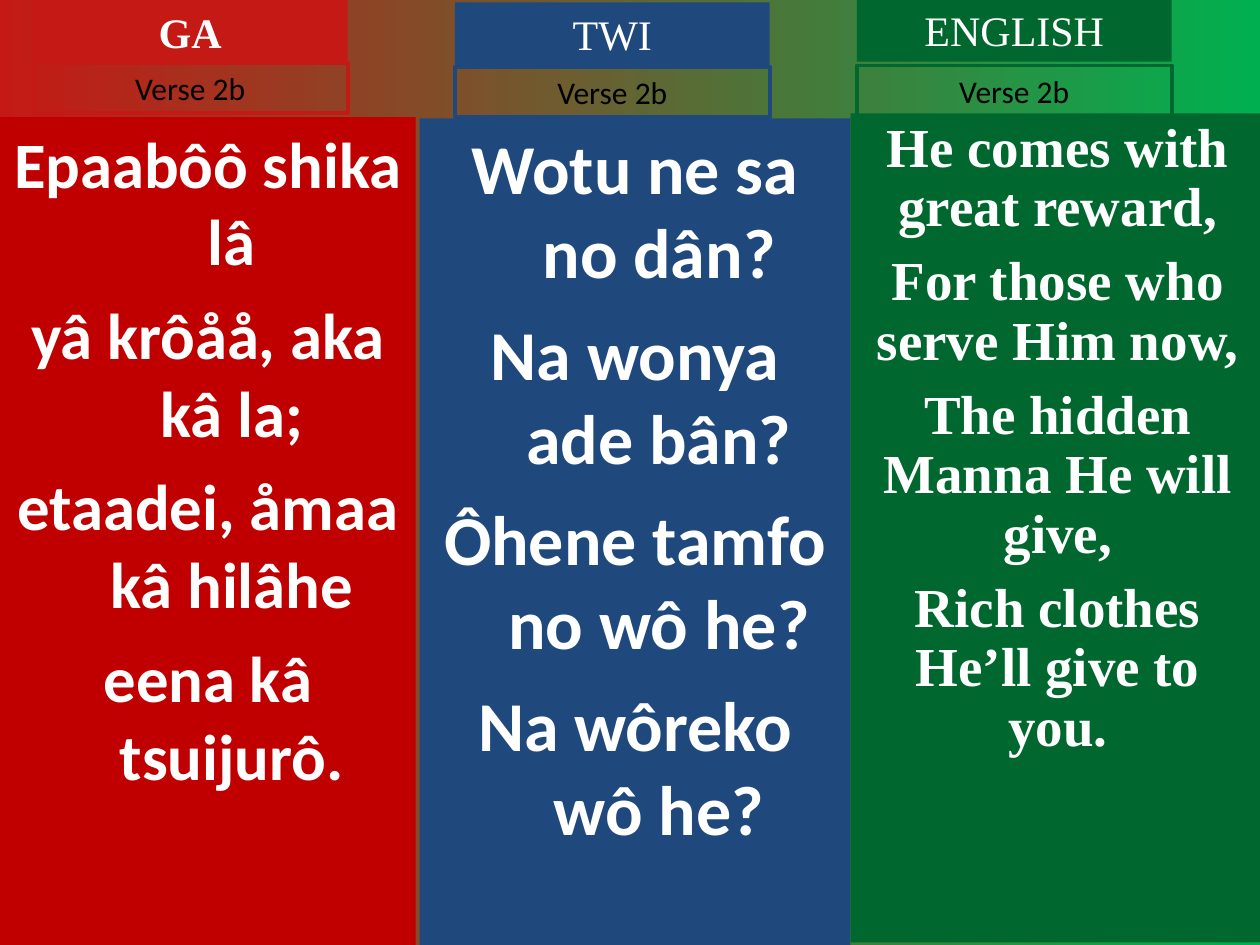
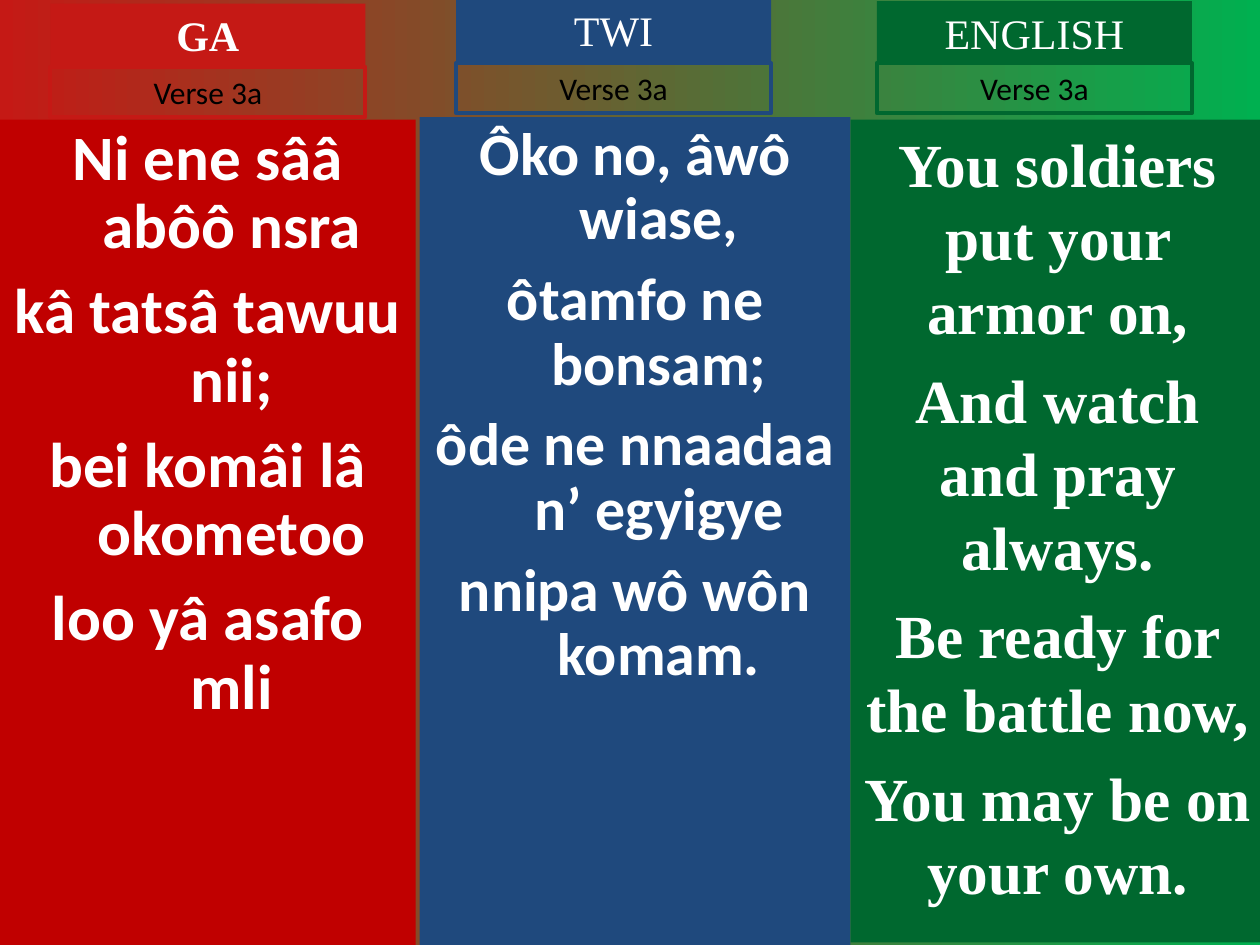
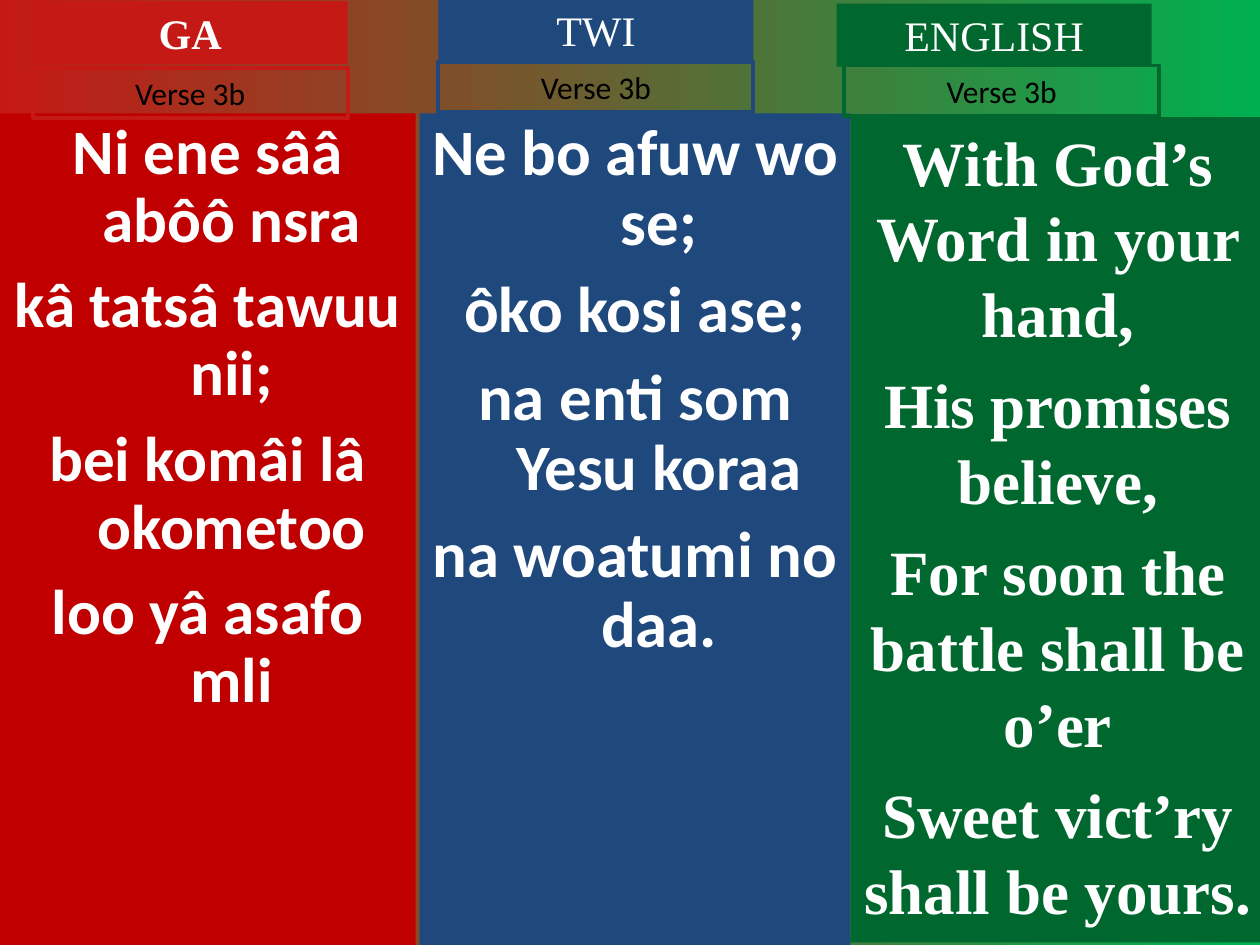
from pptx import Presentation
from pptx.dml.color import RGBColor
from pptx.enum.shapes import MSO_SHAPE as Shape
from pptx.enum.text import MSO_ANCHOR as Anchor, PP_ALIGN as Align
from pptx.util import Inches, Pt

COLORS = {
    "ga_body": "C00000", "ga_head": "C51915",
    "twi": "1F497D", "english": "00682F",
    "background_end": "00B050", "white": "FFFFFF", "black": "000000",
}
SERIF, SANS = "Times New Roman", "Calibri"
HEAD_WIDTH, HEAD_HEIGHT, VERSE_HEIGHT = 2.5, 0.5, 0.4
HANGING = 0.38
BLANK_LAYOUT = 6

COLUMNS = [
    {"language": "GA", "body": "ga_body", "head": "ga_head", "left": 0, "width": 3.3,
     "bottom": 7.5, "font": SANS, "hanging": HANGING, "bold_head": True},
    {"language": "TWI", "body": "twi", "head": "twi", "left": 3.33, "width": 3.42,
     "bottom": 7.5, "font": SANS, "hanging": HANGING, "bold_head": False},
    {"language": "ENGLISH", "body": "english", "head": "english", "left": 6.75, "width": 3.29,
     "bottom": 7.48, "font": SERIF, "hanging": 0, "bold_head": False},
]

GA_VERSE_3 = ["Ni ene sââ abôô nsra", "kâ tatsâ tawuu nii;",
              "bei komâi lâ okometoo", "loo yâ asafo mli"]

VERSES = [
    ("Verse 2b", [
        {"head": (0.26, 0), "verse": (0.26, 0.5), "top": 0.93, "size": 37, "spacing": 1,
         "lines": ["Epaabôô shika lâ", "yâ krôåå, aka kâ la;",
                   "etaadei, åmaa kâ hilâhe", "eena kâ tsuijurô."]},
        {"head": (3.61, 0.02), "verse": (3.61, 0.53), "top": 0.94, "size": 40, "spacing": 1,
         "lines": ["Wotu ne sa no dân?", "Na wonya ade bân?",
                   "Ôhene tamfo no wô he?", "Na wôreko wô he?"]},
        {"head": (6.8, -0.01), "verse": (6.8, 0.52), "top": 0.9, "size": 31.4, "spacing": 0.9,
         "lines": ["He comes with great reward,", "For those who serve Him now,",
                   "The hidden Manna He will give,", "Rich clothes He’ll give to you."]},
    ]),
    ("Verse 3a", [
        {"head": (0.4, 0.03), "verse": (0.4, 0.53), "top": 0.95, "size": 36.1, "spacing": 0.9,
         "lines": GA_VERSE_3},
        {"head": (3.62, -0.01), "verse": (3.62, 0.5), "top": 0.93, "size": 34.2, "spacing": 0.9,
         "lines": ["Ôko no, âwô wiase,", "ôtamfo ne bonsam;",
                   "ôde ne nnaadaa n’ egyigye", "nnipa wô wôn komam."]},
        {"head": (6.96, 0.01), "verse": (6.96, 0.5), "top": 0.95, "size": 35, "spacing": 1,
         "lines": ["You soldiers put your armor on,", "And watch and pray always.",
                   "Be ready for the battle now,", "You may be on your own."]},
    ]),
    ("Verse 3b", [
        {"head": (0.26, 0.01), "verse": (0.26, 0.54), "top": 0.9, "size": 36.1, "spacing": 0.9,
         "lines": GA_VERSE_3},
        {"head": (3.48, -0.01), "verse": (3.48, 0.49), "top": 0.9, "size": 37, "spacing": 0.9,
         "lines": ["Ne bo afuw wo se;", "ôko kosi ase;",
                   "na enti som Yesu koraa", "na woatumi no daa."]},
        {"head": (6.64, 0.03), "verse": (6.7, 0.52), "top": 0.93, "size": 36, "spacing": 1,
         "lines": ["With God’s Word in your hand,", "His promises believe,",
                   "For soon the battle shall be o’er", "Sweet vict’ry shall be yours."]},
    ]),
]


def color(name):
    return RGBColor.from_string(COLORS[name])


def paint_background(master):
    fill = master.background.fill
    fill.gradient()
    fill.gradient_angle = 0
    for stop, position, name in zip(fill.gradient_stops, (0, 1), ("ga_head", "background_end")):
        stop.position = position
        stop.color.rgb = color(name)


def add_box(slide, lines, left, top, width, height, *, size, font, fill=None, line=None,
            text_color="white", bold=False, spacing=None, hanging=0):
    shape = slide.shapes.add_shape(
        Shape.RECTANGLE, Inches(left), Inches(top), Inches(width), Inches(height))
    shape.shadow.inherit = False
    if fill:
        shape.fill.solid()
        shape.fill.fore_color.rgb = color(fill)
    else:
        shape.fill.background()
    if line:
        shape.line.color.rgb = color(line)
        shape.line.width = Pt(2.25)
    else:
        shape.line.fill.background()
    frame = shape.text_frame
    frame.word_wrap = True
    frame.vertical_anchor = Anchor.TOP
    for index, text in enumerate(lines):
        paragraph = frame.add_paragraph() if index else frame.paragraphs[0]
        paragraph.alignment = Align.CENTER
        if spacing:
            paragraph.line_spacing = spacing
        if index:
            paragraph.space_before = Pt(round(size * (0.27 if spacing < 1 else 0.25), 1))
        if hanging:
            properties = paragraph._p.get_or_add_pPr()
            properties.set("marL", str(Inches(hanging)))
            properties.set("indent", str(-Inches(hanging)))
        run = paragraph.add_run()
        run.text = text
        run.font.name = font
        run.font.size = Pt(size)
        run.font.bold = bold
        run.font.color.rgb = color(text_color)


def add_column(slide, verse, column, part):
    add_box(slide, part["lines"], column["left"], part["top"], column["width"],
            column["bottom"] - part["top"], size=part["size"], font=column["font"],
            fill=column["body"], bold=True, spacing=part["spacing"], hanging=column["hanging"])
    add_box(slide, [column["language"]], *part["head"], HEAD_WIDTH, HEAD_HEIGHT,
            size=24, font=SERIF, fill=column["head"], bold=column["bold_head"])
    add_box(slide, [verse], *part["verse"], HEAD_WIDTH, VERSE_HEIGHT,
            size=18, font=SANS, line=column["head"], text_color="black")


def main():
    presentation = Presentation()
    presentation.slide_width, presentation.slide_height = Inches(10), Inches(7.5)
    paint_background(presentation.slide_master)
    for verse, parts in VERSES:
        slide = presentation.slides.add_slide(presentation.slide_layouts[BLANK_LAYOUT])
        for column, part in zip(COLUMNS, parts):
            add_column(slide, verse, column, part)
    presentation.save("out.pptx")


if __name__ == "__main__":
    main()
